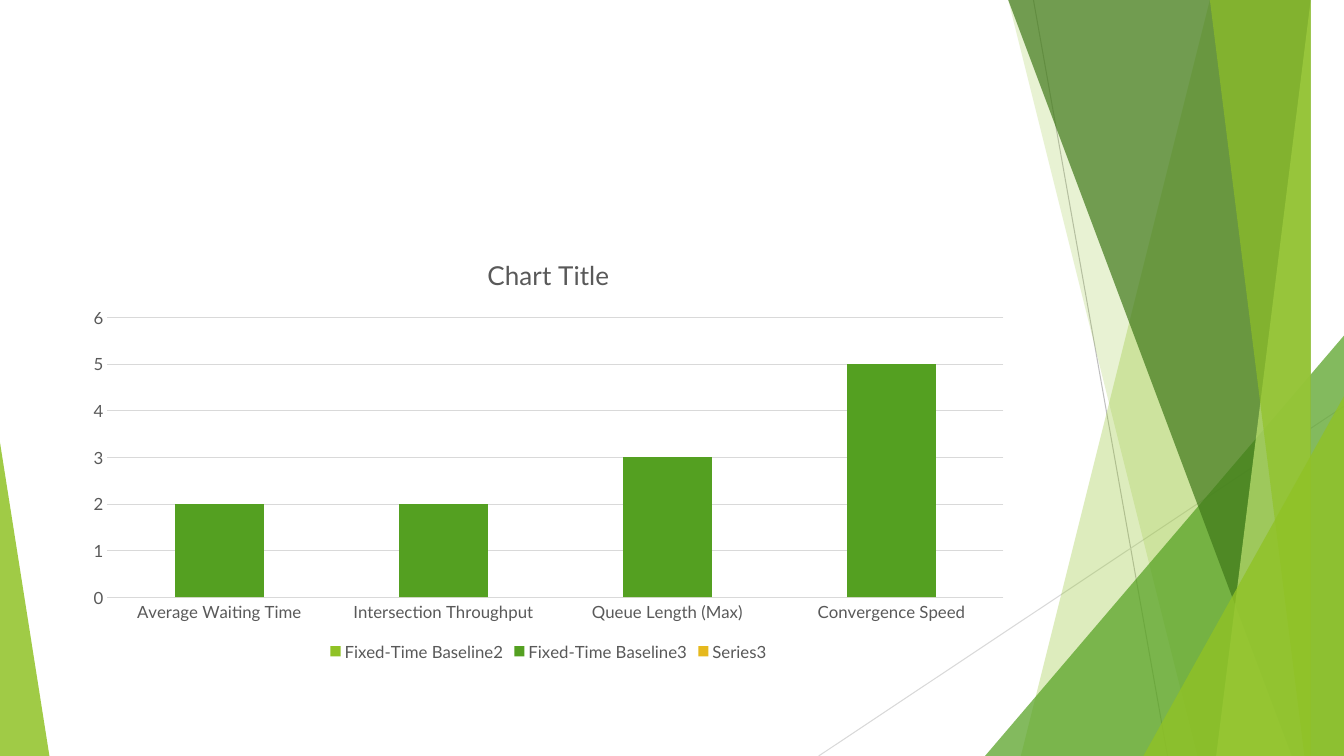
"""Build a slide with a stacked column chart and green facet decoration."""
import lxml.etree
import pptx
import pptx.chart.data
import pptx.dml.color
import pptx.enum.chart
import pptx.enum.shapes
import pptx.oxml.ns
import pptx.util

Inches = pptx.util.Inches
Pt = pptx.util.Pt
COLORS = {
    "lime": "90C226", "green": "54A021", "forest": "3F7819", "pale": "C0E474",
    "gold": "E6B91E", "text": "595959", "grid": "D9D9D9", "ray": "BFBFBF",
}
WIDTH, HEIGHT, TOP = 13.33, 7.5, -0.01


def rgb(name):
    return pptx.dml.color.RGBColor.from_string(COLORS[name])


def style_facet(shape, color, opacity):
    shape.shadow.inherit = False
    shape.line.fill.background()
    shape.fill.solid()
    shape.fill.fore_color.rgb = rgb(color)
    color_element = shape.fill._xPr.find(".//" + pptx.oxml.ns.qn("a:srgbClr"))
    alpha = lxml.etree.SubElement(color_element, pptx.oxml.ns.qn("a:alpha"))
    alpha.set("val", str(opacity * 1000))


presentation = pptx.Presentation()
presentation.slide_width = Inches(WIDTH)
presentation.slide_height = Inches(HEIGHT)
slide = presentation.slides.add_slide(presentation.slide_layouts[6])

rays = [(10.25, 0, 11.58, HEIGHT, "ray"), (WIDTH, 4.03, 8.12, HEIGHT, "grid")]
for *ends, color in rays:
    connector = slide.shapes.add_connector(
        pptx.enum.shapes.MSO_CONNECTOR.STRAIGHT, *[Inches(end) for end in ends])
    connector.line.color.rgb = rgb(color)
    connector.line.width = Pt(0.75)
    lxml.etree.SubElement(connector._element.spPr, pptx.oxml.ns.qn("a:effectLst"))

facets = [
    ("panel", (12.28, 10.04), "lime", 30),
    ("panel", (10.5, 11.83), "lime", 20),
    ("triangle", (9.77, 3.56, 4.17, 1), "green", 72),
    ("panel", (10.21, 12.91), "forest", 70),
    ("panel", (13.03, 11.92), "pale", 70),
    ("panel", (11.96, 13.18), "lime", 65),
    ("triangle", (11.34, 1.99, 3.57, 1), "lime", 80),
    ("triangle", (0, 0.49, 3.11, 0), "lime", 85),
]
for kind, geometry, color, opacity in facets:
    if kind == "panel":
        top_left, bottom_left = geometry
        builder = slide.shapes.build_freeform(top_left, TOP, scale=Inches(1))
        builder.add_line_segments(
            [(WIDTH, TOP), (WIDTH, HEIGHT), (bottom_left, HEIGHT)], close=True)
        shape = builder.convert_to_shape()
    else:
        left, width, height, apex = geometry
        shape = slide.shapes.add_shape(
            pptx.enum.shapes.MSO_SHAPE.ISOSCELES_TRIANGLE, Inches(left),
            Inches(HEIGHT - height), Inches(width), Inches(height))
        shape.adjustments[0] = apex
    style_facet(shape, color, opacity)

series_table = [
    ("Fixed-Time Baseline2", (0, 0, 0, 0), "lime"),
    ("Fixed-Time Baseline3", (2, 2, 3, 5), "green"),
    ("Series3", (None,) * 4, "gold"),
]
chart_data = pptx.chart.data.CategoryChartData()
chart_data.categories = ["Average Waiting Time", "Intersection Throughput",
                         "Queue Length (Max)", "Convergence Speed"]
for name, values, color in series_table:
    chart_data.add_series(name, values)
chart = slide.shapes.add_chart(
    pptx.enum.chart.XL_CHART_TYPE.COLUMN_STACKED, Inches(0.74), Inches(2.36),
    Inches(9.4), Inches(4.24), chart_data).chart

plot = chart.plots[0]
for attribute, value in {"gap_width": 150, "overlap": 100, "vary_by_categories": False}.items():
    setattr(plot, attribute, value)
for series, (name, values, color) in zip(plot.series, series_table):
    series.format.fill.solid()
    series.format.fill.fore_color.rgb = rgb(color)

chart.has_title = True
chart.chart_title.include_in_layout = False
title_frame = chart.chart_title.text_frame
title_frame.text = "Chart Title"
chart.has_legend = True
chart.legend.position = pptx.enum.chart.XL_LEGEND_POSITION.BOTTOM
chart.legend.include_in_layout = False

category_axis, value_axis = chart.category_axis, chart.value_axis
for axis in (category_axis, value_axis):
    axis.major_tick_mark = pptx.enum.chart.XL_TICK_MARK.NONE
    axis.minor_tick_mark = pptx.enum.chart.XL_TICK_MARK.NONE
value_axis.minimum_scale, value_axis.maximum_scale, value_axis.major_unit = 0, 6, 1
value_axis.has_major_gridlines = True
value_axis.format.line.fill.background()
for line in (category_axis.format.line, value_axis.major_gridlines.format.line):
    line.color.rgb = rgb("grid")
    line.width = Pt(0.75)

chart_fonts = [
    (chart.font, 10), (title_frame.paragraphs[0].runs[0].font, 18.6),
    (chart.legend.font, 12), (category_axis.tick_labels.font, 12),
    (value_axis.tick_labels.font, 12),
]
for font, size in chart_fonts:
    for attribute, value in {"name": "Lato", "size": Pt(size), "bold": False}.items():
        setattr(font, attribute, value)
    font.color.rgb = rgb("text")

presentation.save("out.pptx")
